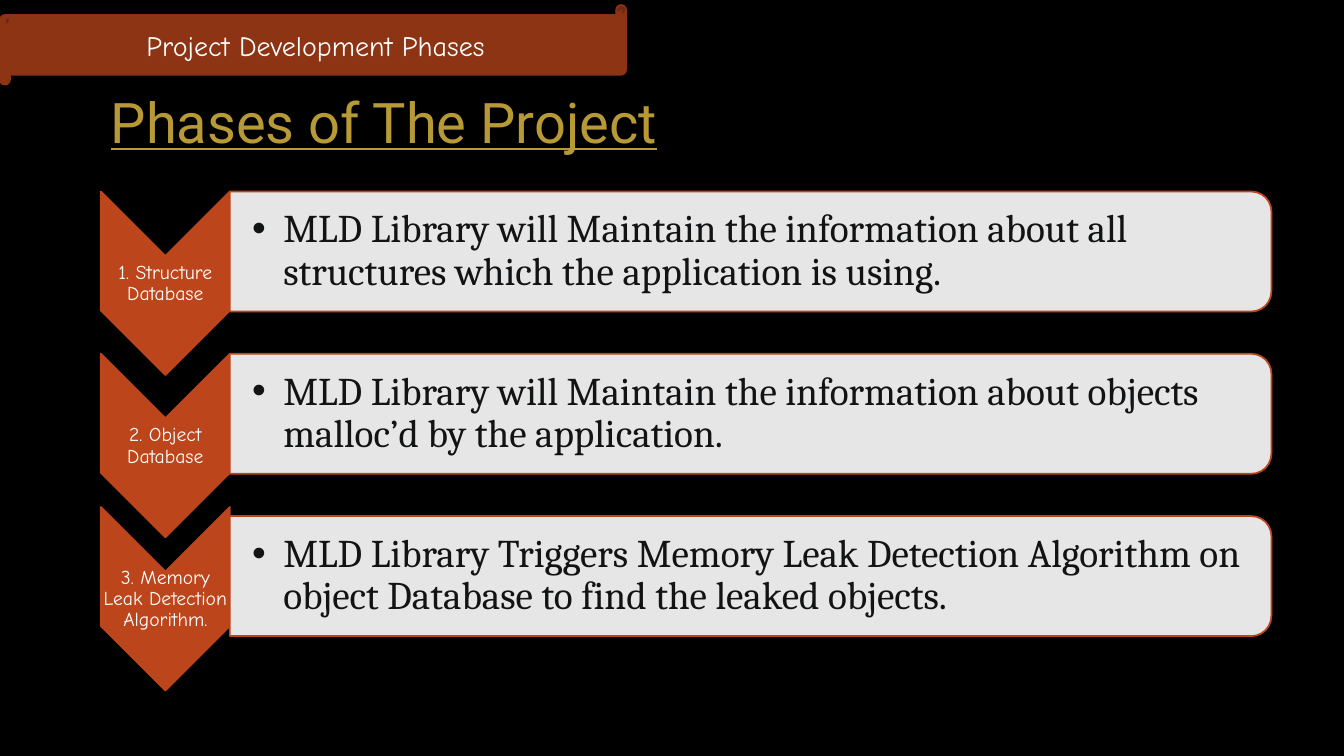
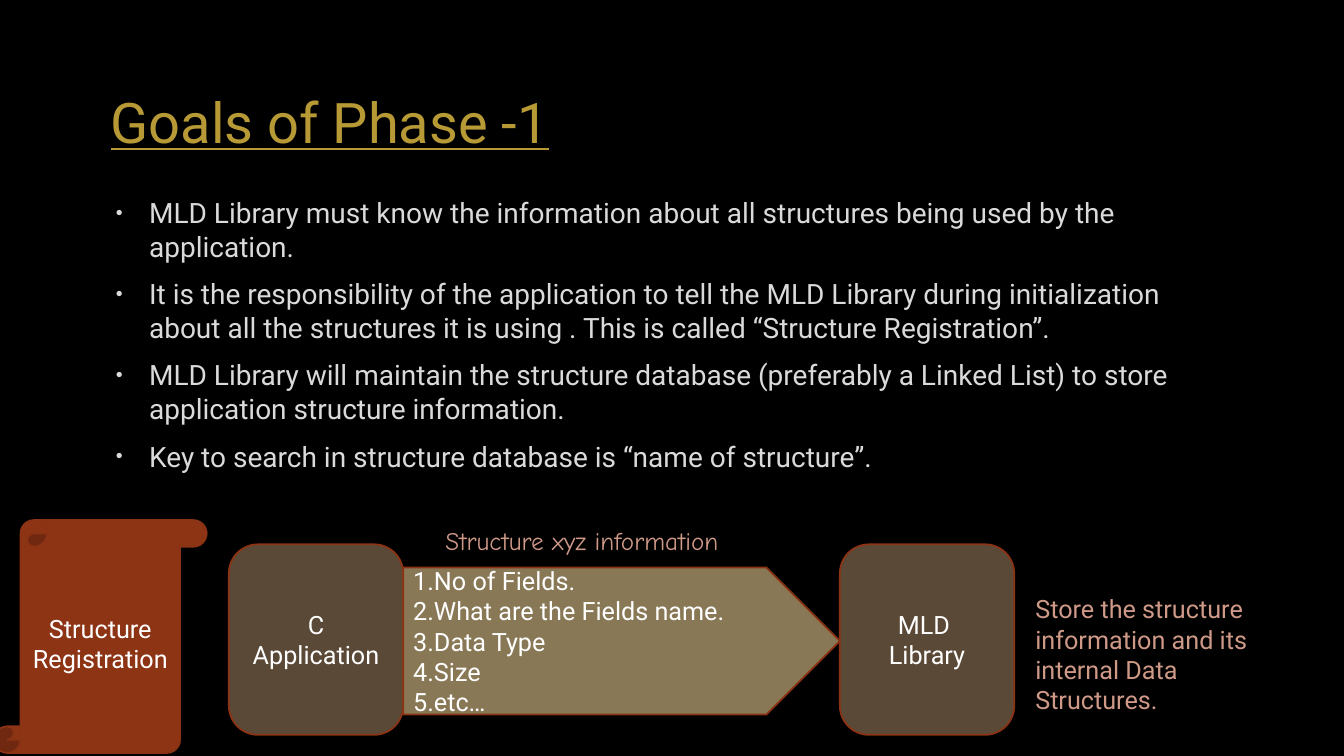
from lxml.etree import SubElement
from pptx import Presentation
from pptx.dml.color import RGBColor
from pptx.enum.shapes import MSO_SHAPE
from pptx.enum.text import MSO_ANCHOR, PP_ALIGN
from pptx.oxml.ns import qn
from pptx.util import Inches, Pt

SANS, SERIF, COMIC = "Roboto", "Cambria", "Comic Neue"
BLACK, WHITE, GOLD = "000000", "FFFFFF", "B79935"
RUST, RUST_LINE, ORANGE = "8D3414", "8B3314", "BC451B"
BROWN, TAN, PINK = "5B4937", "897855", "CF9988"
PANEL, INK, SILVER = "E6E6E6", "121314", "DADADA"

PHASES = [
    ("1. Structure Database", 0,
     "MLD Library will Maintain the information about all structures which the application is using."),
    ("2. Object Database", 0,
     "MLD Library will Maintain the information about objects malloc’d by the application."),
    ("3. Memory Leak Detection Algorithm.", -0.09,
     "MLD Library Triggers Memory Leak Detection Algorithm on object Database to find the leaked objects."),
]
GOALS = [
    "MLD Library must know the information about all structures being used by the application.",
    "It is the responsibility of the application to tell the MLD Library during initialization "
    "about all the structures it is using . This is called “Structure Registration”.",
    "MLD Library will maintain the structure database (preferably a Linked List) to store "
    "application structure information.",
    "Key to search in structure database is “name of structure”.",
]
FIELDS = ["1.No of Fields.", "2.What are the Fields name.", "3.Data Type", "4.Size", "5.etc…"]


def rgb(value):
    """Turn a hex string into a colour."""
    return RGBColor.from_string(value)


def set_bullet(p, left, hang, percent):
    """Give a paragraph a round bullet with a hanging indent."""
    pPr = p._p.get_or_add_pPr()
    pPr.set("marL", str(Inches(left)))
    pPr.set("indent", str(-Inches(hang)))
    SubElement(pPr, qn("a:buSzPct"), val=str(percent * 1000))
    SubElement(pPr, qn("a:buFont"), typeface="Arial")
    SubElement(pPr, qn("a:buChar"), char="•")


def write(sp, lines, size=18, font=SANS, color=WHITE, align=PP_ALIGN.LEFT,
          anchor=MSO_ANCHOR.MIDDLE, insets=(0.1, 0.05, 0.1, 0.05), underline=False,
          spacing=None, before=0, after=0, bullet=None):
    """Write one paragraph for each line into a shape."""
    tf = sp.text_frame
    tf.word_wrap = True
    tf.vertical_anchor = anchor
    tf.margin_left, tf.margin_top, tf.margin_right, tf.margin_bottom = map(Inches, insets)
    for i, line in enumerate(lines):
        p = tf.add_paragraph() if i else tf.paragraphs[0]
        p.alignment = align
        p.line_spacing = spacing
        p.space_before, p.space_after = Pt(before), Pt(after)
        if bullet:
            set_bullet(p, *bullet)
        r = p.add_run()
        r.text = line
        r.font.size, r.font.name = Pt(size), font
        r.font.color.rgb = rgb(color)
        r.font.underline = underline


def add_text(s, box, lines, **fmt):
    """Add a text box."""
    write(s.shapes.add_textbox(*map(Inches, box)), lines, **fmt)


def add_shape(s, kind, box, fill, line=RUST_LINE, lines=(), **fmt):
    """Add a filled, outlined shape with optional text."""
    sp = s.shapes.add_shape(kind, *map(Inches, box))
    sp.shadow.inherit = False
    sp.fill.solid()
    sp.fill.fore_color.rgb = rgb(fill)
    sp.line.color.rgb = rgb(line)
    sp.line.width = Pt(1.25)
    if lines:
        write(sp, lines, **fmt)
    return sp


def add_turned(s, kind, box, fill, line):
    """Add a shape turned a quarter clockwise so that it covers the box."""
    x, y, w, h = box
    turned = (x + (w - h) / 2, y + (h - w) / 2, h, w)
    add_shape(s, kind, turned, fill, line).rotation = 90


def add_titled_slide(prs, title):
    """Add a blank slide with the shared title."""
    s = prs.slides.add_slide(prs.slide_layouts[6])
    add_text(s, (1, 0.67, 11.32, 1.06), [title], size=40, color=GOLD, underline=True)
    return s


def add_phase(s, box, label, shift, text):
    """Draw one phase: a chevron with its label and a bulleted panel."""
    x, y, w, h = box
    chevron_w, chevron_h = 1.28, 1.82
    top = y + shift
    panel_x, panel_w = x + chevron_w, w - chevron_w
    add_turned(s, MSO_SHAPE.CHEVRON, (x, top, chevron_w, chevron_h), ORANGE, ORANGE)
    add_text(s, (x, top + 0.64, chevron_w, 0.55), [label], size=14, font=COMIC,
             align=PP_ALIGN.CENTER, insets=(0.01,) * 4, spacing=0.9)
    add_turned(s, MSO_SHAPE.ROUND_2_SAME_RECTANGLE, (panel_x, y, panel_w, h), PANEL, ORANGE)
    add_text(s, (panel_x, y + 0.06, panel_w - 0.06, h - 0.12), [text], size=28, font=SERIF,
             color=INK, insets=(0.22, 0.02, 0.02, 0.02), spacing=0.9, bullet=(0.31, 0.31, 100))


def add_registration(s, box):
    """Draw the flow from the application to the library."""
    x, y, w, h = box
    node_w, node_h, node_y = 1.73, 1.89, y + 0.24
    app_x, lib_x = x + 2.33, x + w - node_w
    arrow_x = app_x + node_w
    for node_x, lines in ((app_x, ["C Application"]), (lib_x, ["MLD ", "Library"])):
        add_shape(s, MSO_SHAPE.ROUNDED_RECTANGLE, (node_x, node_y, node_w, node_h), BROWN,
                  lines=lines, align=PP_ALIGN.CENTER)
    add_shape(s, MSO_SHAPE.PENTAGON, (arrow_x, y + 0.47, lib_x - arrow_x, 1.46), TAN, lines=FIELDS)
    add_text(s, (arrow_x + 0.32, y, 3.63, 0.4), ["Structure xyz information"],
             font=COMIC, color=PINK, anchor=MSO_ANCHOR.TOP)
    add_text(s, (x + w + 0.11, y + 0.68, 2.81, 1.01),
             ["Store the structure information and its internal Data Structures."],
             color=PINK, anchor=MSO_ANCHOR.TOP)
    add_shape(s, MSO_SHAPE.VERTICAL_SCROLL, (x, y, 2.11, h), RUST,
              lines=["Structure Registration"], align=PP_ALIGN.CENTER)


def build_phases(prs):
    """Build the slide that lists the phases."""
    s = add_titled_slide(prs, "Phases of The Project")
    add_shape(s, MSO_SHAPE.HORIZONTAL_SCROLL, (0, 0.05, 6.21, 0.79), RUST,
              lines=["Project Development Phases"], size=20, font=COMIC, align=PP_ALIGN.CENTER)
    for i, phase in enumerate(PHASES):
        add_phase(s, (1, 1.9 + 1.61 * i, 11.61, 1.19), *phase)


def build_goals(prs):
    """Build the slide with the goals of the first phase."""
    s = add_titled_slide(prs, "Goals of Phase -1")
    add_text(s, (1, 1.89, 11.32, 2.91), GOALS, size=20, color=SILVER, anchor=MSO_ANCHOR.TOP,
             before=4, after=6, bullet=(0.38, 0.33, 70))
    add_registration(s, (-0.06, 5.16, 10.12, 2.31))


def main():
    """Build and save the presentation."""
    prs = Presentation()
    prs.slide_width, prs.slide_height = Inches(13.33), Inches(7.5)
    background = prs.slide_master.background.fill
    background.solid()
    background.fore_color.rgb = rgb(BLACK)
    build_phases(prs)
    build_goals(prs)
    prs.save("out.pptx")


if __name__ == "__main__":
    main()
